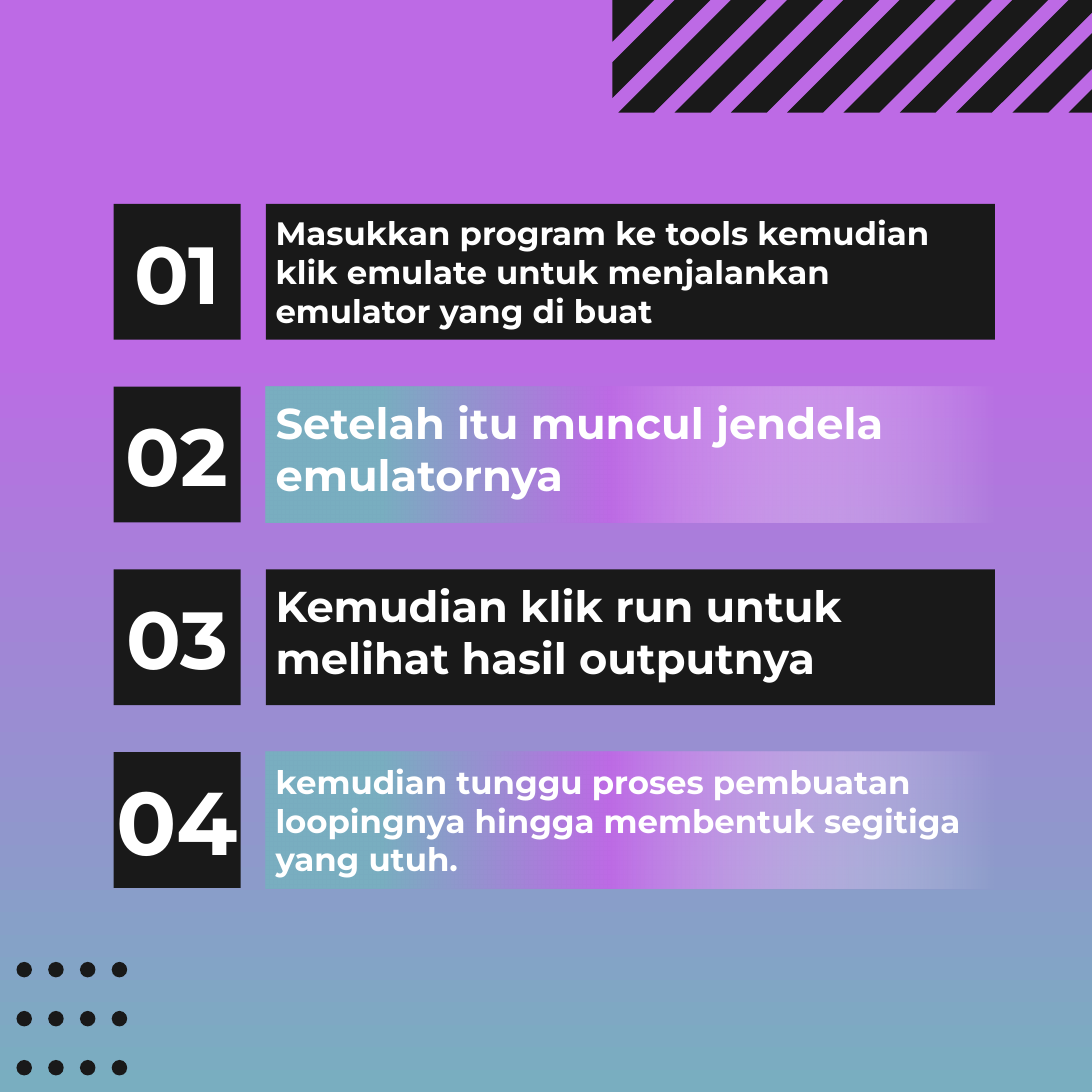
from dataclasses import dataclass

from lxml.etree import SubElement
from pptx import Presentation
from pptx.dml.color import RGBColor
from pptx.enum.shapes import MSO_SHAPE as Shape
from pptx.enum.text import MSO_ANCHOR as Anchor, PP_ALIGN as Align
from pptx.oxml.ns import qn
from pptx.util import Inches, Pt

COLORS = {"black": "191919", "teal": "79AEC0", "purple": "BD6AE5", "white": "FFFFFF"}
FONT = "Montserrat"

ROW_TOP, ROW_PITCH, ROW_HEIGHT = 2.1, 1.883, 1.4
STRIPES_LEFT, STRIPES_RIGHT, STRIPES_HEIGHT = 6.31, 11.25, 1.16
STRIPE_COUNT, STRIPE_PITCH, STRIPE_WIDTH = 11, 0.58, 0.37


@dataclass
class Stop:
    percent: int
    color: str
    alpha: int = 100


@dataclass
class Step:
    number: str
    number_size: int
    text: str
    text_size: int
    faded: bool


@dataclass
class Block:
    left: float
    width: float
    inset: float
    anchor: Anchor
    align: Align


PAGE_STOPS = [Stop(0, "teal"), Stop(70, "purple"), Stop(100, "purple")]
FADE_STOPS = [Stop(0, "teal"), Stop(16, "teal"), Stop(47, "purple"), Stop(100, "white", 0)]

NUMBER_BLOCK = Block(1.17, 1.31, 0, Anchor.MIDDLE, Align.CENTER)
TEXT_BLOCK = Block(2.74, 7.51, 0.1, Anchor.TOP, Align.LEFT)

STEPS = [
    Step("01", 60, "Masukkan program ke tools kemudian klik emulate untuk "
         "menjalankan emulator yang di buat", 24, False),
    Step("02", 60, "Setelah itu muncul jendela emulatornya", 32, True),
    Step("03", 60, "Kemudian klik run untuk melihat hasil outputnya", 32, False),
    Step("04", 66, "kemudian tunggu proses pembuatan loopingnya hingga membentuk "
         "segitiga yang utuh.", 24, True),
]


def rgb(name: str) -> RGBColor:
    return RGBColor.from_string(COLORS[name])


def fill_gradient(fill, element, stops: list[Stop], angle: int) -> None:
    """Fill with a linear gradient; the angle runs counter-clockwise."""
    fill.gradient()
    fill.gradient_angle = angle
    stop_list = element.find(".//" + qn("a:gsLst"))
    for old in list(stop_list):
        stop_list.remove(old)
    for stop in stops:
        gs = SubElement(stop_list, qn("a:gs"), pos=str(stop.percent * 1000))
        color = SubElement(gs, qn("a:srgbClr"), val=COLORS[stop.color])
        if stop.alpha < 100:
            SubElement(color, qn("a:alpha"), val=str(stop.alpha * 1000))


def paint_black(sp) -> None:
    sp.shadow.inherit = False
    sp.line.fill.background()
    sp.fill.solid()
    sp.fill.fore_color.rgb = rgb("black")


def add_block(s, block: Block, top: float, text: str, size: int, faded: bool = False) -> None:
    sp = s.shapes.add_shape(Shape.RECTANGLE, Inches(block.left), Inches(top),
                            Inches(block.width), Inches(ROW_HEIGHT))
    paint_black(sp)
    if faded:
        fill_gradient(sp.fill, sp.element, FADE_STOPS, 0)
    tf = sp.text_frame
    tf.word_wrap = True
    tf.vertical_anchor = block.anchor
    tf.margin_left = tf.margin_right = tf.margin_top = tf.margin_bottom = Inches(block.inset)
    p = tf.paragraphs[0]
    p.alignment = block.align
    r = p.add_run()
    r.text = text
    r.font.name, r.font.size, r.font.bold = FONT, Pt(size), True
    r.font.color.rgb = rgb("white")


def stripe_points(start: float, end: float) -> list[tuple[float, float]]:
    """Outline of the diagonal start <= x + y <= end, cut to the striped panel."""
    left, right, height = STRIPES_LEFT, STRIPES_RIGHT, STRIPES_HEIGHT
    end = min(end, right + height)

    def upper(total: float) -> tuple[float, float]:
        return min(total, right), max(total - right, 0)

    def lower(total: float) -> tuple[float, float]:
        return max(total - height, left), min(total - left, height)

    corner = [(right, 0)] if start < right < end else []
    return [upper(start), *corner, upper(end), lower(end), lower(start)]


def add_stripes(s) -> None:
    group = s.shapes.add_group_shape()
    for i in range(STRIPE_COUNT):
        end = 6.74 + i * STRIPE_PITCH
        start = end - STRIPE_WIDTH if i else STRIPES_LEFT
        first, *others = [(Inches(x), Inches(y)) for x, y in stripe_points(start, end)]
        builder = group.shapes.build_freeform(*first)
        builder.add_line_segments(others, close=True)
        paint_black(builder.convert_to_shape())


def add_dots(s) -> None:
    group = s.shapes.add_group_shape()
    size = Inches(0.16)
    for col in range(4):
        for row in range(3):
            paint_black(group.shapes.add_shape(
                Shape.OVAL, Inches(0.17 + col * 0.327), Inches(9.91 + row * 0.505), size, size))


def main() -> None:
    prs = Presentation()
    prs.slide_width = prs.slide_height = Inches(11.25)
    s = prs.slides.add_slide(prs.slide_layouts[6])
    fill_gradient(s.background.fill, s.element, PAGE_STOPS, 90)
    for i, step in enumerate(STEPS):
        top = ROW_TOP + i * ROW_PITCH
        add_block(s, TEXT_BLOCK, top, step.text, step.text_size, step.faded)
        add_block(s, NUMBER_BLOCK, top, step.number, step.number_size)
    add_stripes(s)
    add_dots(s)
    prs.save("out.pptx")


if __name__ == "__main__":
    main()
